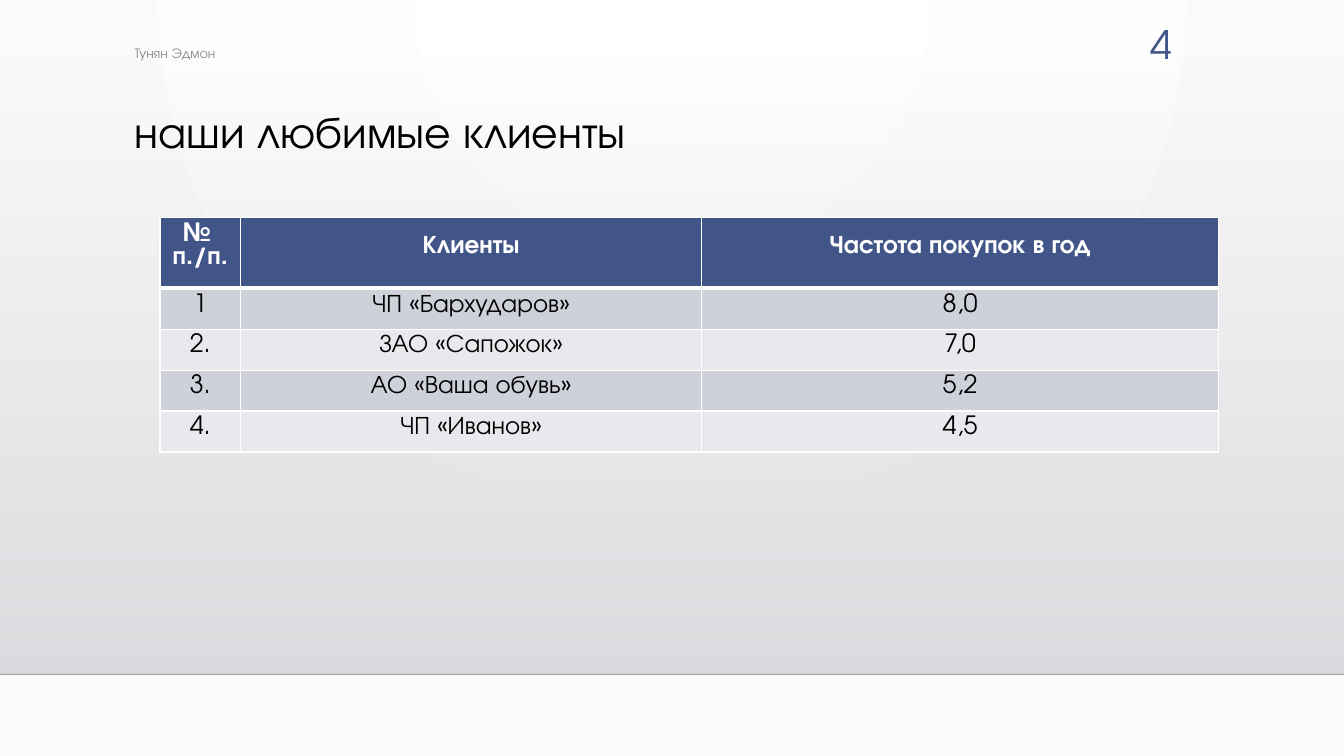
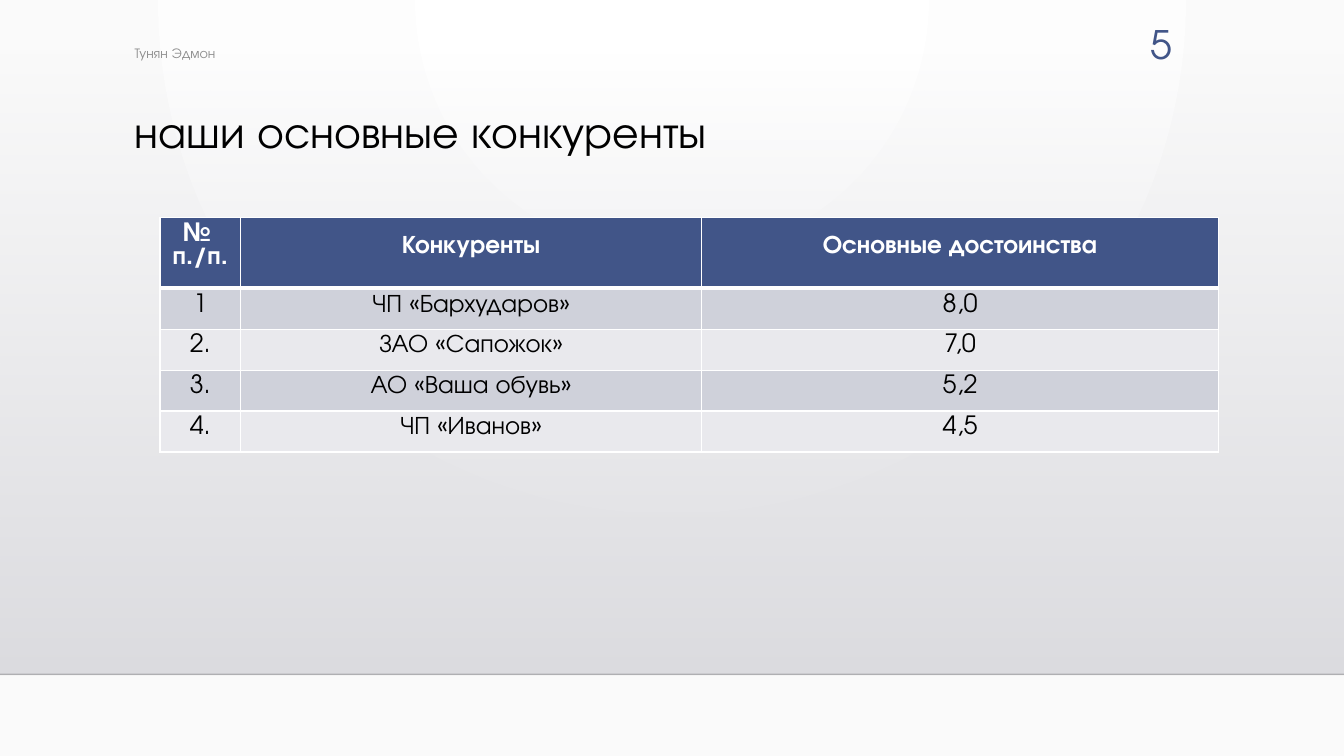
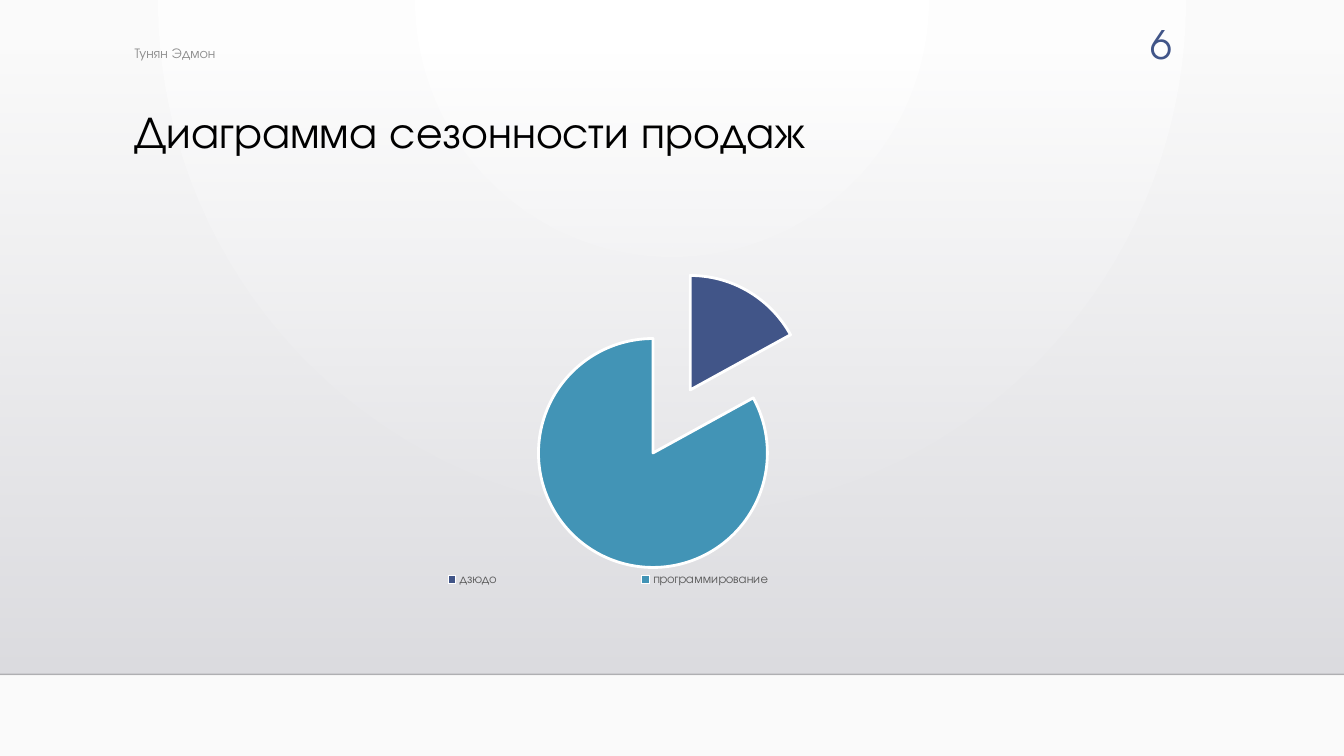
from lxml.etree import SubElement
from pptx import Presentation
from pptx.chart.data import CategoryChartData
from pptx.dml.color import RGBColor
from pptx.enum.chart import XL_CHART_TYPE, XL_LEGEND_POSITION
from pptx.enum.shapes import MSO_CONNECTOR, MSO_SHAPE
from pptx.enum.text import MSO_ANCHOR, PP_ALIGN
from pptx.oxml import parse_xml
from pptx.oxml.ns import nsdecls, qn
from pptx.util import Pt

# Shared style
FONT = "TeX Gyre Adventor"
WHITE, BLACK, GREY = "FFFFFF", "000000", "8C8C8C"
NAVY, TEAL, LEGEND_GREY = "415588", "4294B6", "595959"
ROW_FILLS = ("CFD1DA", "E9E9ED")
SLIDE_WIDTH, SLIDE_HEIGHT = 960, 540
BAND_TOP, BAND_BOTTOM = 36.5, 481.7
LEFT, CONTENT_WIDTH = 89, 756
AUTHOR = "Тунян Эдмон"

# Table content
COLUMN_WIDTHS = (57.5, 329.5, 369)
ROW_HEIGHT, TABLE_HEIGHT = 29.25, 167
FIRMS = (
    ("1", "ЧП «Бархударов»", "8,0"),
    ("2.", "ЗАО «Сапожок»", "7,0"),
    ("3.", "АО «Ваша обувь»", "5,2"),
    ("4.", "ЧП «Иванов»", "4,5"),
)


def color(value):
    return RGBColor.from_string(value)


def style_font(font, size, value, bold=False):
    font.name, font.size, font.bold = FONT, Pt(size), bold
    font.color.rgb = color(value)


def add_span(para, text, size, value, bold=False):
    span = para.add_run()
    span.text = text
    style_font(span.font, size, value, bold)


def set_alpha(color_element, percent):
    SubElement(color_element, qn("a:alpha"), val=str(percent * 1000))


def set_gradient(fill, values, direction):
    """Two-stop gradient; direction is an a:lin or a:path element."""
    fill.gradient()
    for stop, value in zip(fill.gradient_stops, values):
        stop.color.rgb = color(value)
    fill.gradient_stops[0].position = 0
    fill.gradient_stops[1].position = 1
    stop_list = next(fill.gradient_stops[0]._gs.iterancestors(qn("a:gsLst")))
    gradient = stop_list.getparent()
    gradient.remove(gradient.find(qn("a:lin")))
    stop_list.addnext(parse_xml(direction))
    return stop_list


def add_text(page, box_at, text, size, value, anchor, align=PP_ALIGN.LEFT):
    box = page.shapes.add_textbox(*map(Pt, box_at))
    frame = box.text_frame
    frame.word_wrap, frame.vertical_anchor = True, anchor
    para = frame.paragraphs[0]
    para.alignment = align
    add_span(para, text, size, value)


def set_background(master):
    set_gradient(
        master.background.fill, (WHITE, "FAFAFA"),
        f'<a:path {nsdecls("a")} path="circle">'
        '<a:fillToRect l="43000" t="0" r="43000" b="100000"/></a:path>')


def add_band(page):
    band = page.shapes.add_shape(
        MSO_SHAPE.RECTANGLE, 0, Pt(BAND_TOP), Pt(SLIDE_WIDTH), Pt(BAND_BOTTOM - BAND_TOP))
    band.shadow.inherit = False
    band.line.fill.background()
    stops = set_gradient(band.fill, ("DCDCE0", "DEDEE2"),
                         f'<a:lin {nsdecls("a")} ang="5400000" scaled="0"/>')
    set_alpha(stops[0][0], 0)

    rule = page.shapes.add_connector(
        MSO_CONNECTOR.STRAIGHT, 0, Pt(BAND_BOTTOM), Pt(SLIDE_WIDTH), Pt(BAND_BOTTOM))
    rule.line.width = Pt(1)
    rule.line.color.rgb = color(BLACK)
    properties = rule._element.spPr
    set_alpha(next(properties.iter(qn("a:srgbClr"))), 20)
    SubElement(properties, qn("a:effectLst"))

    # The title lies in front of the band
    rule._element.addnext(page.shapes.title._element)


def add_page(deck, number, title_text):
    page = deck.slides.add_slide(deck.slide_layouts[5])
    add_band(page)
    title = page.shapes.title
    title.left, title.top = Pt(LEFT), Pt(75)
    title.width, title.height = Pt(CONTENT_WIDTH), Pt(83)
    title.text_frame.vertical_anchor = MSO_ANCHOR.TOP
    para = title.text_frame.paragraphs[0]
    para.alignment, para.line_spacing = PP_ALIGN.LEFT, 0.9
    add_span(para, title_text, 32, BLACK)
    add_text(page, (LEFT, 25.5, 467, 24.5), AUTHOR, 10, GREY, MSO_ANCHOR.MIDDLE)
    add_text(page, (780.5, 11, 64, 39.5), str(number), 28, NAVY,
             MSO_ANCHOR.TOP, PP_ALIGN.RIGHT)
    return page


def set_borders(cell, bottom_width):
    properties = cell._tc.get_or_add_tcPr()
    widths = {"L": 1, "R": 1, "T": 1, "B": bottom_width}
    for index, (side, width) in enumerate(widths.items()):
        properties.insert(index, parse_xml(
            f'<a:ln{side} {nsdecls("a")} w="{Pt(width)}"><a:solidFill>'
            f'<a:srgbClr val="{WHITE}"/></a:solidFill></a:ln{side}>'))


def fill_cell(cell, lines, fill, value, bold=False, spacing=None, bottom_width=1):
    cell.fill.solid()
    cell.fill.fore_color.rgb = color(fill)
    cell.margin_left = cell.margin_right = Pt(5)
    cell.margin_top = cell.margin_bottom = Pt(3.6)
    set_borders(cell, bottom_width)
    frame = cell.text_frame
    for index, line in enumerate(lines):
        para = frame.add_paragraph() if index else frame.paragraphs[0]
        para.alignment, para.line_spacing = PP_ALIGN.CENTER, spacing
        add_span(para, line, 18, value, bold)


def add_firm_table(page, name_heading, value_heading):
    holder = page.shapes.add_table(
        len(FIRMS) + 1, len(COLUMN_WIDTHS), Pt(114.3), Pt(155.5),
        Pt(sum(COLUMN_WIDTHS)), Pt(TABLE_HEIGHT))
    table = holder.table
    for column, width in zip(table.columns, COLUMN_WIDTHS):
        column.width = Pt(width)
    # The header row grows to fit its two lines
    for row in table.rows:
        row.height = Pt(ROW_HEIGHT)
    holder.height = Pt(TABLE_HEIGHT)

    headings = (("№ ", "п./п."), (name_heading,), (value_heading,))
    for column, lines in enumerate(headings):
        fill_cell(table.cell(0, column), lines, NAVY, WHITE, bold=True,
                  spacing=1.5 if column else None, bottom_width=3)
    for row, firm in enumerate(FIRMS, start=1):
        for column, text in enumerate(firm):
            fill_cell(table.cell(row, column), (text,), ROW_FILLS[(row - 1) % 2], BLACK)


def chart_layout(x, y, width, height, target=""):
    """Manual layout in fractions of the chart area."""
    return parse_xml(
        f'<c:layout {nsdecls("c")}><c:manualLayout>{target}'
        '<c:xMode val="edge"/><c:yMode val="edge"/>'
        f'<c:x val="{x}"/><c:y val="{y}"/><c:w val="{width}"/><c:h val="{height}"/>'
        '</c:manualLayout></c:layout>')


def place_chart_part(part, layout):
    for old_layout in part.findall(qn("c:layout")):
        part.remove(old_layout)
    position = part.find(qn("c:legendPos"))
    if position is None:
        part.insert(0, layout)
    else:
        position.addnext(layout)


def add_pie(page, shares):
    data = CategoryChartData()
    data.categories = list(shares)
    data.add_series("Series 1", list(shares.values()))
    chart = page.shapes.add_chart(
        XL_CHART_TYPE.PIE, Pt(177), Pt(183), Pt(605.5), Pt(254), data).chart
    style_font(chart.font, 10, BLACK)
    chart.has_title = False
    chart.has_legend = True
    legend = chart.legend
    legend.position = XL_LEGEND_POSITION.BOTTOM
    legend.include_in_layout = False
    style_font(legend.font, 9, LEGEND_GREY)
    place_chart_part(legend._element, chart_layout(0.07, 0.85, 0.71, 0.12))
    plot_area = next(chart._chartSpace.iter(qn("c:plotArea")))
    place_chart_part(plot_area, chart_layout(
        0.32, 0.04, 0.36, 0.85, '<c:layoutTarget val="inner"/>'))

    plot = chart.plots[0]
    plot.vary_by_categories = True
    series = plot.series[0]
    series.format.line.color.rgb = color(WHITE)
    series._element.find(qn("c:spPr")).addnext(
        parse_xml(f'<c:explosion {nsdecls("c")} val="32"/>'))
    for index, value in enumerate((NAVY, TEAL)):
        point = series.points[index].format
        point.fill.solid()
        point.fill.fore_color.rgb = color(value)
        point.line.color.rgb = color(WHITE)
        point.line.width = Pt(2)


def main():
    deck = Presentation()
    deck.slide_width, deck.slide_height = Pt(SLIDE_WIDTH), Pt(SLIDE_HEIGHT)
    set_background(deck.slide_master)

    page = add_page(deck, 4, "наши любимые клиенты")
    add_firm_table(page, "Клиенты", "Частота покупок в год")

    page = add_page(deck, 5, "наши основные конкуренты")
    add_firm_table(page, "Конкуренты", "Основные достоинства")

    page = add_page(deck, 6, "Диаграмма сезонности продаж")
    add_pie(page, {"дзюдо": 17, "программирование": 83})

    deck.save("out.pptx")


if __name__ == "__main__":
    main()
